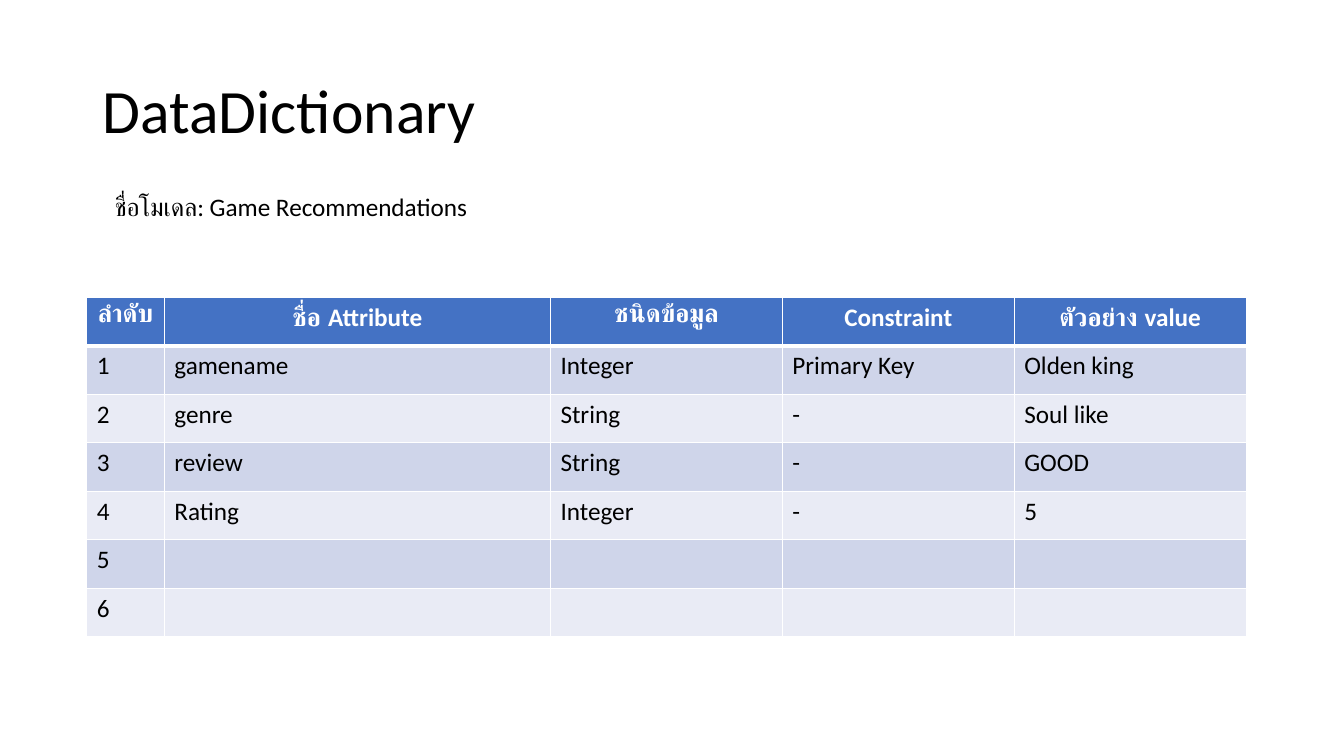
from lxml.etree import SubElement
from pptx import Presentation
from pptx.dml.color import RGBColor
from pptx.enum.text import MSO_ANCHOR, PP_ALIGN
from pptx.oxml.ns import qn
from pptx.util import Inches, Pt

FONT = "Calibri"
COLUMN_WIDTHS = [0.77, 3.83, 2.3, 2.3, 2.3]
ROW_HEIGHT = 3.37 / 7
BAND_FILLS = ["E9EBF5", "CFD5EA"]
ATTRIBUTE_ROWS = [
    ["ลำดับ", "ชื่อ Attribute", "ชนิดข้อมูล", "Constraint", "ตัวอย่าง value"],
    ["1", "gamename", "Integer", "Primary Key", "Olden king"],
    ["2", "genre", "String", "-", "Soul like"],
    ["3", "review", "String", "-", "GOOD"],
    ["4", "Rating", "Integer", "-", "5"],
    ["5", "", "", "", ""],
    ["6", "", "", "", ""],
]


def color(value):
    return RGBColor.from_string(value)


def apply(target, values):
    for name, value in values.items():
        setattr(target, name, value)


def write(para, text, size=18, bold=False, ink="000000"):
    para.font.size = Pt(size)
    if text:
        span = para.add_run()
        span.text = text
        apply(span.font, {"name": FONT, "size": Pt(size), "bold": bold})
        span.font.color.rgb = color(ink)


def add_text(page, box, text, size, frame_format, para_format):
    frame = page.shapes.add_textbox(*map(Inches, box)).text_frame
    apply(frame, {"word_wrap": True, **frame_format})
    para = frame.paragraphs[0]
    apply(para, para_format)
    write(para, text, size)


def add_borders(cell, widths):
    properties = cell._tc.get_or_add_tcPr()
    for side, width in widths.items():
        line = SubElement(properties, qn(f"a:ln{side}"), w=str(Pt(width)))
        fill = SubElement(line, qn("a:solidFill"))
        SubElement(fill, qn("a:srgbClr"), val="FFFFFF")


def add_dictionary(page, left, top):
    box = (left, top, sum(COLUMN_WIDTHS), ROW_HEIGHT * len(ATTRIBUTE_ROWS))
    table = page.shapes.add_table(
        len(ATTRIBUTE_ROWS), len(COLUMN_WIDTHS), *map(Inches, box)
    ).table
    for column, width in zip(table.columns, COLUMN_WIDTHS):
        column.width = Inches(width)
    for index, values in enumerate(ATTRIBUTE_ROWS):
        table.rows[index].height = Inches(ROW_HEIGHT)
        header = index == 0
        for cell, text in zip(table.rows[index].cells, values):
            add_borders(cell, {
                "L": 1, "R": 1, "T": 3 if index == 1 else 1, "B": 3 if header else 1,
            })
            cell.fill.solid()
            cell.fill.fore_color.rgb = color("4472C4" if header else BAND_FILLS[index % 2])
            para = cell.text_frame.paragraphs[0]
            para.alignment = PP_ALIGN.CENTER if header else PP_ALIGN.LEFT
            write(para, text, bold=header, ink="FFFFFF" if header else "000000")


def main():
    deck = Presentation()
    apply(deck, {"slide_width": Inches(13.33), "slide_height": Inches(7.5)})
    page = deck.slides.add_slide(deck.slide_layouts[6])
    add_text(page, (0.92, 0.4, 11.5, 1.45), "DataDictionary", 44,
             {"vertical_anchor": MSO_ANCHOR.MIDDLE}, {"line_spacing": 0.9})
    add_dictionary(page, 0.86, 2.95)
    add_text(page, (1.04, 1.85, 4.09, 0.4), "ชื่อโมเดล: Game Recommendations", 18, {}, {})
    deck.save("out.pptx")


if __name__ == "__main__":
    main()
